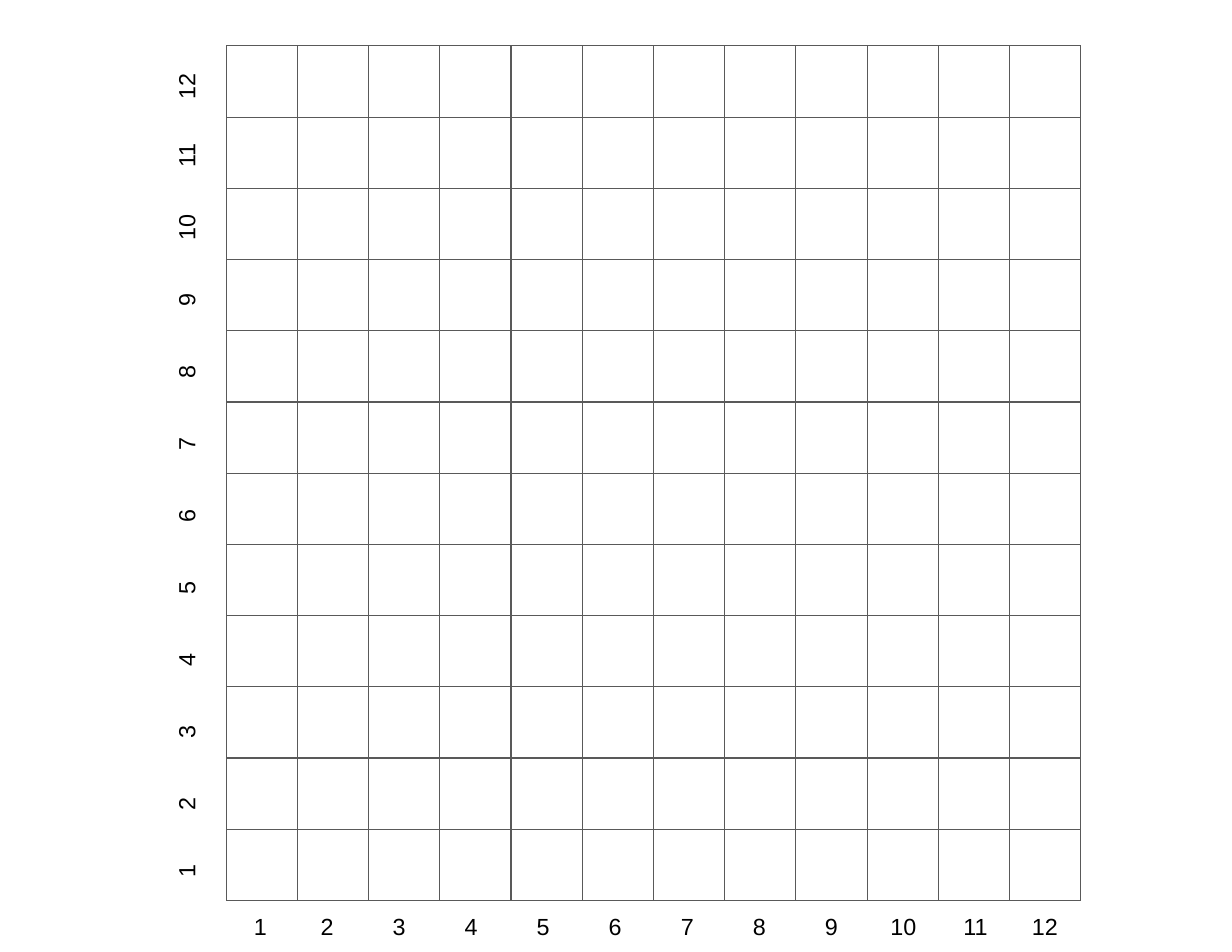
from lxml import etree
from pptx import Presentation, util as u
from pptx.dml.color import RGBColor
from pptx.enum import shapes, text
from pptx.oxml import ns

GRID_GRAY = RGBColor(0x59, 0x59, 0x59)
BLACK = RGBColor(0, 0, 0)
CELLS = 12
LEFT, TOP, SIZE = 2.02, 0.41, 7.63
BOTTOM = TOP + SIZE
LABEL_HEIGHT = 0.45
ROW_LABEL_CENTER, ROW_LABEL_ORIGIN = 1.66, 8.08


class GridSlide:
    """Draws grid lines and axis labels in one style on one slide."""

    def __init__(self, slide):
        self.slide = slide
        self.font_name = "Arial"
        self.font_size = u.Pt(15)
        self.line_width = u.Pt(0.75)

    def group(self):
        return self.slide.shapes.add_group_shape()

    def line(self, group, x1, y1, x2, y2):
        connector = group.shapes.add_connector(
            shapes.MSO_CONNECTOR.STRAIGHT,
            u.Inches(x1), u.Inches(y1), u.Inches(x2), u.Inches(y2))
        connector.line.color.rgb = GRID_GRAY
        connector.line.width = self.line_width
        properties = connector._element.find(ns.qn("p:spPr"))
        etree.SubElement(properties, ns.qn("a:effectLst"))

    def label(self, group, content, center_x, center_y, width, rotation=0):
        box = group.shapes.add_textbox(
            u.Inches(center_x - width / 2), u.Inches(center_y - LABEL_HEIGHT / 2),
            u.Inches(width), u.Inches(LABEL_HEIGHT))
        box.rotation = rotation
        frame = box.text_frame
        frame.text = content
        frame.word_wrap = True
        frame.auto_size = text.MSO_AUTO_SIZE.SHAPE_TO_FIT_TEXT
        frame.margin_left = frame.margin_right = u.Inches(0.1)
        frame.margin_top = frame.margin_bottom = u.Inches(0.1)
        paragraph = frame.paragraphs[0]
        paragraph.alignment = text.PP_ALIGN.CENTER
        font = paragraph.runs[0].font
        font.name = self.font_name
        font.size = self.font_size
        font.color.rgb = BLACK


def label_span(number):
    if number == 1:
        return 0, 0.61
    if number == CELLS:
        return 6.99, 0.64
    return 0.55 + (number - 2) * 5.79 / 9, 0.7


def main():
    presentation = Presentation()
    presentation.slide_width = u.Inches(11)
    presentation.slide_height = u.Inches(8.5)
    grid = GridSlide(presentation.slides.add_slide(presentation.slide_layouts[6]))

    rows, columns = grid.group(), grid.group()
    for index in range(CELLS + 1):
        offset = index * SIZE / CELLS
        grid.line(rows, LEFT, TOP + offset, LEFT + SIZE, TOP + offset)
        grid.line(columns, LEFT + offset, TOP, LEFT + offset, BOTTOM)

    column_labels, row_labels = grid.group(), grid.group()
    for number in range(1, CELLS + 1):
        start, width = label_span(number)
        center = start + width / 2
        grid.label(column_labels, str(number), LEFT + center,
                   BOTTOM + LABEL_HEIGHT / 2, width)
        grid.label(row_labels, str(number), ROW_LABEL_CENTER,
                   ROW_LABEL_ORIGIN - center, width, rotation=270)

    presentation.save("out.pptx")


if __name__ == "__main__":
    main()
